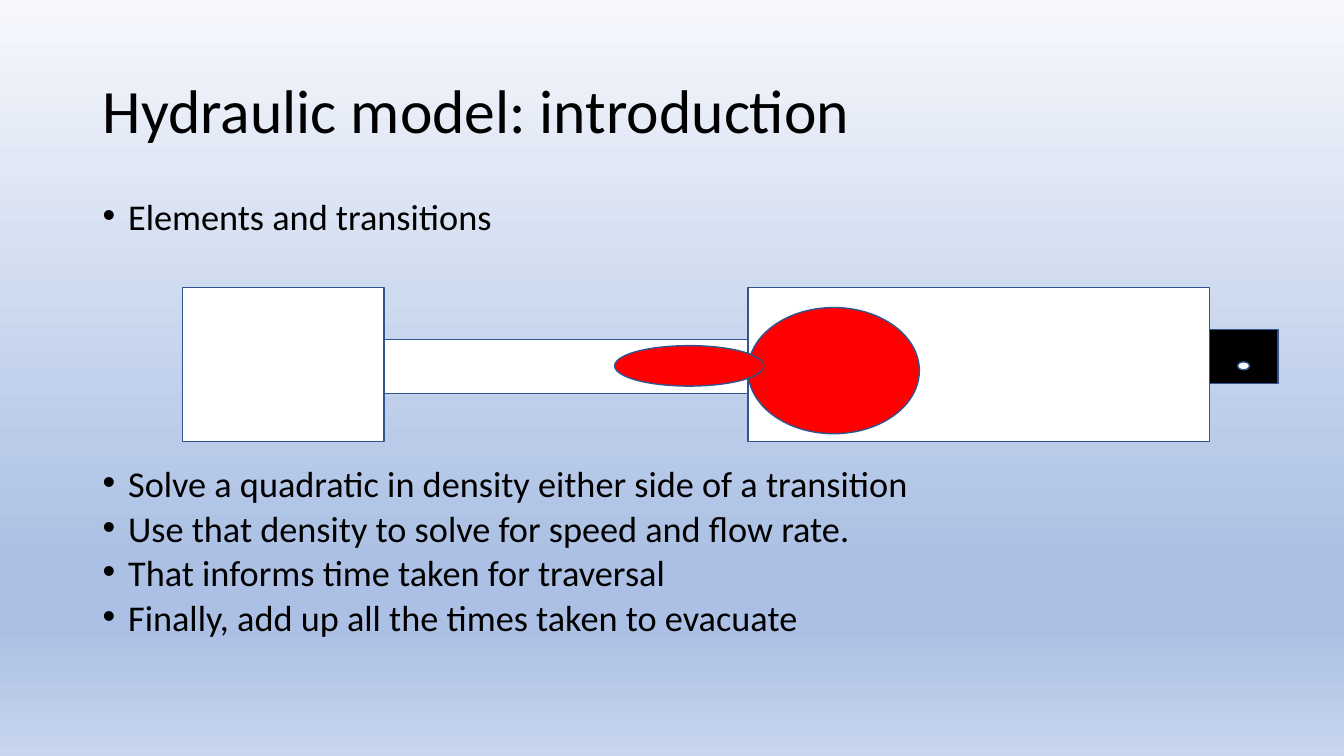
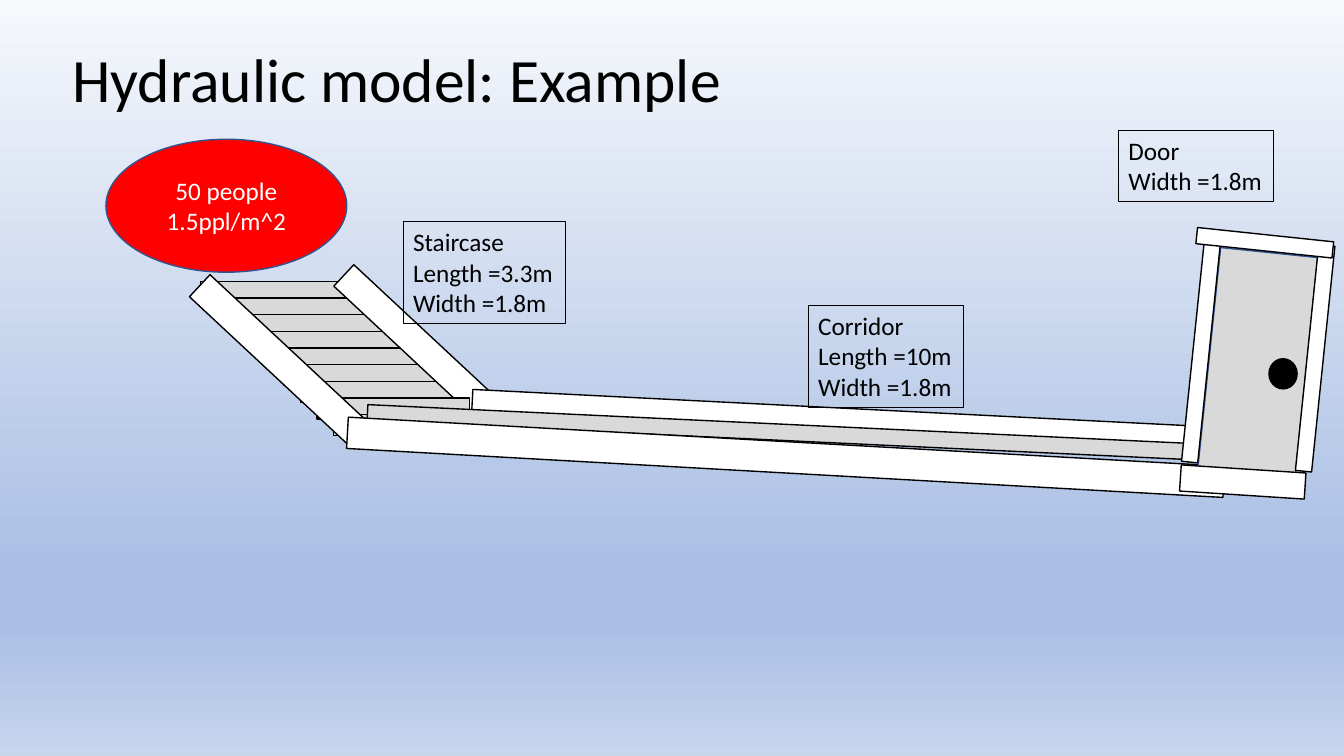
from lxml import etree
from pptx import Presentation
from pptx import util as u
from pptx.dml.color import RGBColor
from pptx.enum import shapes, text
from pptx.oxml import ns

COLORS = {"white": "FFFFFF", "black": "000000", "red": "FF0000",
          "gray": "D9D9D9", "blue": "325491"}
BACKGROUND = [(0, "F6F8FC"), (74, "ABC0E4"), (83, "ABC0E4"), (100, "C7D5ED")]
RECT = shapes.MSO_SHAPE.RECTANGLE
OVAL = shapes.MSO_SHAPE.OVAL

prs = Presentation()
prs.slide_width, prs.slide_height = u.Cm(33.87), u.Cm(19.05)

backdrop = prs.slide_master.background.fill
backdrop.gradient()
backdrop.gradient_angle = 270
stops = prs.slide_master.element.find(".//" + ns.qn("a:gsLst"))
for stop in list(stops):
    stops.remove(stop)
for percent, shade in BACKGROUND:
    stop = etree.SubElement(stops, ns.qn("a:gs"), pos=str(percent * 1000))
    etree.SubElement(stop, ns.qn("a:srgbClr"), val=shade)


def write(shape, lines, size=18, color="black", align=text.PP_ALIGN.LEFT,
          anchor=text.MSO_ANCHOR.TOP, spacing=None, before=0, bullet=False, wrap=True):
    frame = shape.text_frame
    frame.word_wrap = wrap
    frame.vertical_anchor = anchor
    frame.text = "\n".join(lines)
    for paragraph in frame.paragraphs:
        paragraph.alignment = align
        paragraph.line_spacing = spacing
        paragraph.space_before = u.Pt(before)
        paragraph.font.size = u.Pt(size)
        for run in paragraph.runs:
            run.font.size = u.Pt(size)
            run.font.name = "Calibri"
            run.font.color.rgb = RGBColor.from_string(COLORS[color])
        if bullet:
            props = paragraph._p.get_or_add_pPr()
            props.set("marL", str(u.Cm(0.64)))
            props.set("indent", str(u.Cm(-0.64)))
            etree.SubElement(props, ns.qn("a:buFont"), typeface="Arial")
            etree.SubElement(props, ns.qn("a:buChar"), char="•")


def draw(slide, kind, box, fill, line="black", turn=0):
    shape = slide.shapes.add_shape(kind, *map(u.Cm, box))
    shape.shadow.inherit = False
    shape.fill.solid()
    shape.fill.fore_color.rgb = RGBColor.from_string(COLORS[fill])
    shape.line.color.rgb = RGBColor.from_string(COLORS[line])
    shape.line.width = u.Pt(1)
    shape.rotation = turn
    return shape


slides = []
for heading, left, top in [("Hydraulic model: introduction", 2.34, 1.02),
                           ("Hydraulic model: Example", 1.57, 0.23)]:
    slide = prs.slides.add_slide(prs.slide_layouts[6])
    title = slide.shapes.add_textbox(u.Cm(left), u.Cm(top), u.Cm(29.21), u.Cm(3.68))
    write(title, [heading], size=44, anchor=text.MSO_ANCHOR.MIDDLE, spacing=0.9)
    slides.append(slide)
introduction, example = slides

for top, height, points in [
    (5.08, 1.5, ["Elements and transitions"]),
    (11.81, 5.3, ["Solve a quadratic in density either side of a transition",
                  "Use that density to solve for speed and flow rate.",
                  "That informs time taken for traversal",
                  "Finally, add up all the times taken to evacuate"]),
]:
    body = introduction.shapes.add_textbox(u.Cm(2.34), u.Cm(top), u.Cm(29.21), u.Cm(height))
    write(body, points, size=25.9, spacing=0.7, before=10, bullet=True)

room = (4.6, 7.24, 5.08, 3.89)
passage = (9.68, 8.56, 9.17, 1.35)
hall = (18.85, 7.24, 11.63, 3.89)
exit_door = (30.48, 8.31, 1.73, 1.35)
knob = (31.19, 9.12, 0.3, 0.2)
crowd = (18.85, 7.75, 4.32, 3.18)
queue = (15.49, 8.71, 3.76, 1.02)
for kind, box, fill in [(RECT, room, "white"), (RECT, passage, "white"),
                        (RECT, hall, "white"), (RECT, exit_door, "black"),
                        (OVAL, knob, "white"), (OVAL, crowd, "red"),
                        (OVAL, queue, "red")]:
    draw(introduction, kind, box, fill, "blue")

right_rail = (8, 8.26, 4.95, 0.74)
left_rail = (4.29, 8.71, 5.54, 0.76)
for step in range(9):
    if step == 7:
        draw(example, RECT, right_rail, "white", turn=43)
    draw(example, RECT, (5.05 + 0.42 * step, 7.09 + 0.42 * step, 3.84, 0.53), "gray")
draw(example, RECT, left_rail, "white", turn=43)

far_wall = (11.89, 10.34, 20.8, 0.56)
floor = (9.25, 10.72, 22.2, 0.41)
near_wall = (8.74, 11.13, 22.12, 0.79)
draw(example, RECT, far_wall, "white", turn=2.9)
draw(example, RECT, floor, "gray", turn=2.7)
draw(example, RECT, near_wall, "white", turn=3.2)

door = (30.45, 6.35, 2.46, 5.92)
handle = (31.98, 9.04, 0.71, 0.76)
left_jamb = (30.07, 5.94, 0.41, 5.72)
right_jamb = (32.94, 6.17, 0.41, 5.72)
lintel = (31.67, 4.39, 0.41, 3.45)
sill = (30.99, 10.57, 0.66, 3.15)
draw(example, RECT, door, "gray", "blue", 5.9)
draw(example, OVAL, handle, "black")
for box, turn in [(left_jamb, 5.9), (right_jamb, 5.9), (lintel, 276), (sill, 273.7)]:
    draw(example, RECT, box, "white", turn=turn)

people = draw(example, OVAL, (2.67, 3.51, 6.07, 3.35), "red", "blue")
write(people, ["50 people", "1.5ppl/m^2"], color="white",
      align=text.PP_ALIGN.CENTER, anchor=text.MSO_ANCHOR.MIDDLE)

for box, lines in [
    ((10.16, 5.59, 4.09, 2.57), ["Staircase", "Length =3.3m", "Width =1.8m"]),
    ((20.37, 7.7, 3.91, 2.57), ["Corridor", "Length =10m", "Width =1.8m"]),
    ((28.19, 3.28, 3.91, 1.8), ["Door", "Width =1.8m"]),
]:
    label = example.shapes.add_textbox(*map(u.Cm, box))
    label.line.color.rgb = RGBColor.from_string(COLORS["black"])
    label.line.width = u.Pt(0.75)
    write(label, lines, wrap=False)

prs.save("out.pptx")
